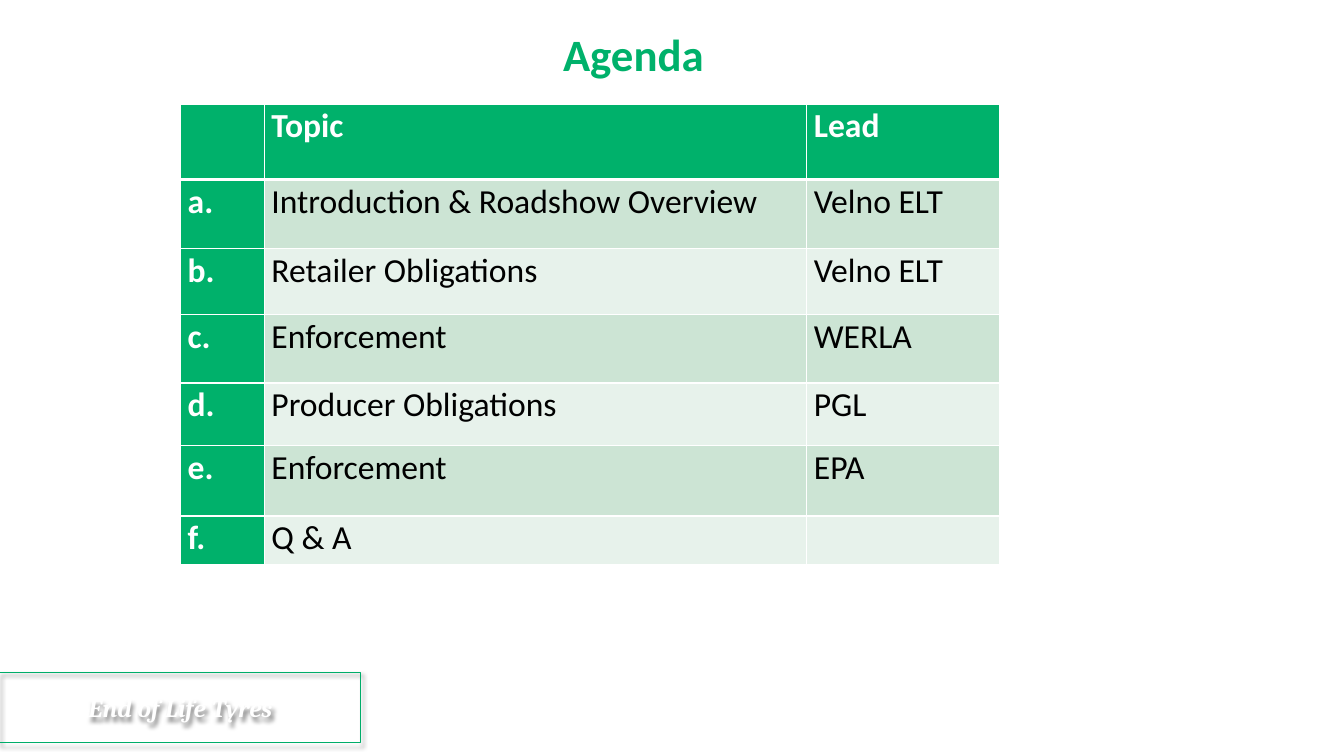
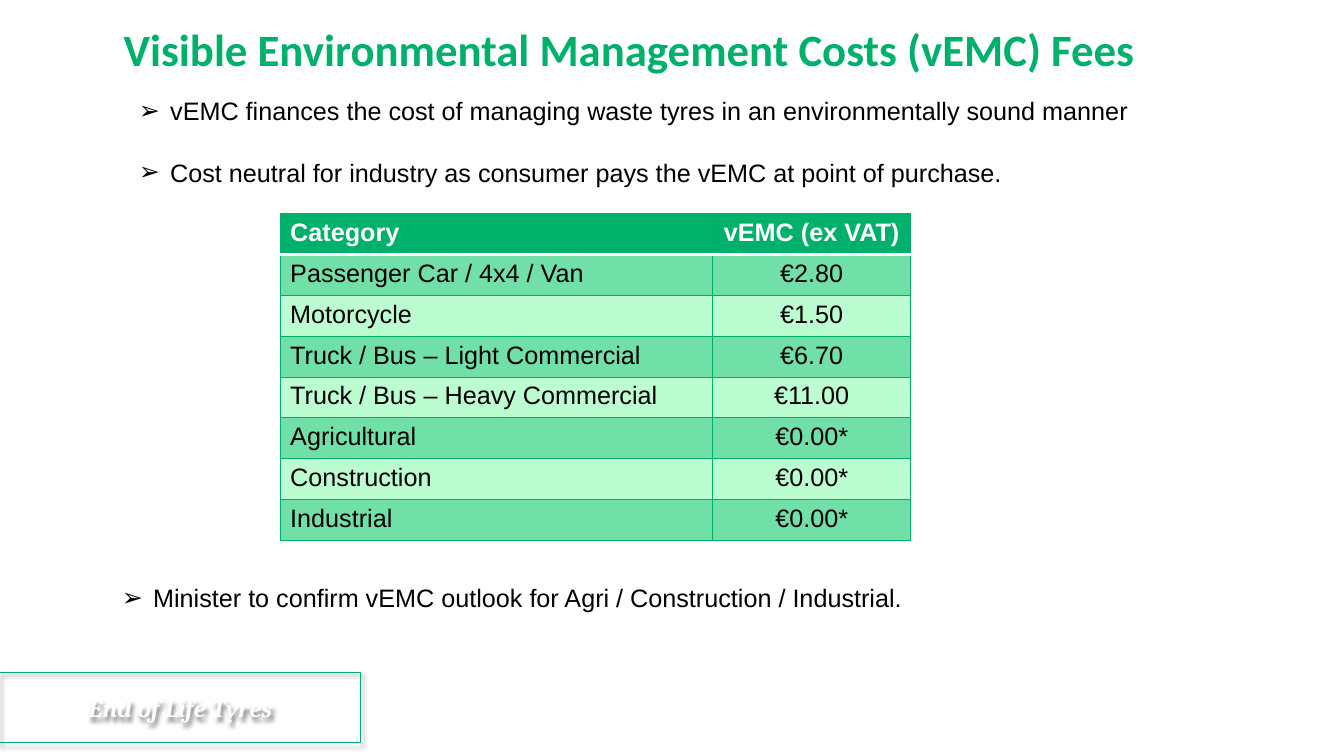
from dataclasses import dataclass
from typing import Any

from lxml.etree import SubElement
from pptx import Presentation
from pptx.dml.color import RGBColor
from pptx.enum.shapes import MSO_SHAPE
from pptx.enum.text import MSO_ANCHOR, PP_ALIGN
from pptx.oxml.ns import qn
from pptx.util import Cm, Pt

COLORS = {
    "green": "00B16B",
    "outline": "00AD69",
    "white": "FFFFFF",
    "black": "000000",
    "sage": "CCE4D4",
    "pale_sage": "E7F2EB",
    "mint": "70DFA8",
    "pale_mint": "BBFDD1",
}

# Font formats by role; "color" is a key of COLORS
FORMATS: dict[str, dict[str, Any]] = {
    "title": {"name": "Calibri", "size": Pt(32), "bold": True, "color": "green"},
    "footer": {"name": "Cambria", "size": Pt(18), "bold": True, "italic": True, "color": "white"},
    "bullet": {"name": "Arial", "size": Pt(18), "color": "black"},
    "agenda_head": {"name": "Calibri", "size": Pt(24), "bold": True, "color": "white"},
    "agenda_body": {"name": "Calibri", "size": Pt(24), "bold": False, "color": "black"},
    "fees_head": {"name": "Arial", "size": Pt(18), "bold": True, "color": "white"},
    "fees_body": {"name": "Arial", "size": Pt(18), "bold": False, "color": "black"},
}


@dataclass(frozen=True)
class Box:
    """Left, top, width and height in centimetres."""
    left: float
    top: float
    width: float
    height: float

    def emu(self) -> tuple:
        return Cm(self.left), Cm(self.top), Cm(self.width), Cm(self.height)


@dataclass(frozen=True)
class TableLook:
    formats: str  # prefix of the head and body formats
    bands: tuple[str, str]
    border: tuple[str, float]
    header_rule: float
    aligns: tuple
    margins: dict[str, Any]
    line_spacing: float = 1.0
    header_column: bool = False


AGENDA_LOOK = TableLook(
    "agenda", ("sage", "pale_sage"), ("white", 1), 3, (PP_ALIGN.LEFT,) * 3,
    {"margin_left": Cm(0.18), "margin_right": Cm(0.18), "margin_top": 0, "margin_bottom": 0},
    line_spacing=1.05, header_column=True)
FEES_LOOK = TableLook(
    "fees", ("mint", "pale_mint"), ("outline", 0.75), 2, (PP_ALIGN.LEFT, PP_ALIGN.CENTER), {})

AGENDA = [
    ("", "Topic", "Lead"),
    ("a.", "Introduction & Roadshow Overview", "Velno ELT"),
    ("b.", "Retailer Obligations", "Velno ELT"),
    ("c.", "Enforcement", "WERLA"),
    ("d.", "Producer Obligations", "PGL"),
    ("e.", "Enforcement", "EPA"),
    ("f.", "Q & A", ""),
]
FEES = [
    ("Category", "vEMC (ex VAT)"),
    ("Passenger Car / 4x4 / Van", "€2.80"),
    ("Motorcycle", "€1.50"),
    ("Truck / Bus – Light Commercial", "€6.70"),
    ("Truck / Bus – Heavy Commercial", "€11.00"),
    ("Agricultural", "€0.00*"),
    ("Construction", "€0.00*"),
    ("Industrial", "€0.00*"),
]


def rgb(color: str) -> RGBColor:
    return RGBColor.from_string(COLORS[color])


def write(paragraph, text: str, role: str, align=PP_ALIGN.LEFT, line_spacing: float = 1.0) -> None:
    paragraph.alignment = align
    paragraph.line_spacing = line_spacing
    run = paragraph.add_run()
    run.text = text
    for key, value in FORMATS[role].items():
        if key == "color":
            run.font.color.rgb = rgb(value)
        else:
            setattr(run.font, key, value)


def add_title(slide, text: str, box: Box) -> None:
    frame = slide.shapes.add_textbox(*box.emu()).text_frame
    frame.word_wrap = True
    frame.margin_left = frame.margin_right = 0
    write(frame.paragraphs[0], text, "title", PP_ALIGN.CENTER, 0.8)


def add_footer(slide) -> None:
    footer = slide.shapes.add_shape(MSO_SHAPE.RECTANGLE, *Box(0, 16.94, 9.09, 1.78).emu())
    footer.fill.background()
    footer.line.color.rgb = rgb("outline")
    footer.line.width = Pt(0.75)
    # Soft shadow under the outline and the lettering
    footer.shadow.inherit = False
    effects = footer.element.spPr.find(qn("a:effectLst"))
    shadow = SubElement(effects, qn("a:outerShdw"), blurRad="40000", dist="35000",
                        dir="3600000", rotWithShape="0")
    black = SubElement(shadow, qn("a:srgbClr"), val=COLORS["black"])
    SubElement(black, qn("a:alpha"), val="50000")
    footer.text_frame.vertical_anchor = MSO_ANCHOR.MIDDLE
    write(footer.text_frame.paragraphs[0], "End of Life Tyres", "footer", PP_ALIGN.CENTER)


def add_bullets(slide, lines: list[str], box: Box, line_spacing: float = 1.0) -> None:
    frame = slide.shapes.add_textbox(*box.emu()).text_frame
    frame.word_wrap = True
    for index, line in enumerate(lines):
        paragraph = frame.add_paragraph() if index else frame.paragraphs[0]
        write(paragraph, line, "bullet", line_spacing=line_spacing)
        if index:
            paragraph.space_before = Pt(22)
        properties = paragraph._p.get_or_add_pPr()
        properties.set("marL", str(Cm(0.79)))
        properties.set("indent", str(-Cm(0.79)))
        SubElement(properties, qn("a:buFont"), typeface="Arial")
        SubElement(properties, qn("a:buChar"), char="➢")


def set_borders(cell, row: int, look: TableLook) -> None:
    properties = cell._tc.get_or_add_tcPr()
    rule_side = {0: "lnB", 1: "lnT"}.get(row)
    for side in ("lnL", "lnR", "lnT", "lnB"):
        color, width = ("white", look.header_rule) if side == rule_side else look.border
        line = SubElement(properties, qn(f"a:{side}"), w=str(Pt(width)))
        solid = SubElement(line, qn("a:solidFill"))
        SubElement(solid, qn("a:srgbClr"), val=COLORS[color])


def add_grid(slide, rows: list[tuple], left: float, top: float, widths: list[float],
             heights: list[float], look: TableLook) -> None:
    box = Box(left, top, sum(widths), sum(heights))
    grid = slide.shapes.add_table(len(rows), len(widths), *box.emu()).table
    grid.first_row = grid.horz_banding = False
    for column, width in zip(grid.columns, widths):
        column.width = Cm(width)
    for row, height in zip(grid.rows, heights):
        row.height = Cm(height)
    for r, texts in enumerate(rows):
        for c, text in enumerate(texts):
            cell = grid.cell(r, c)
            is_head = r == 0 or (look.header_column and c == 0)
            set_borders(cell, r, look)
            cell.fill.solid()
            cell.fill.fore_color.rgb = rgb("green" if is_head else look.bands[(r - 1) % 2])
            for margin, value in look.margins.items():
                setattr(cell, margin, value)
            if text:
                role = f"{look.formats}_{'head' if is_head else 'body'}"
                write(cell.text_frame.paragraphs[0], text, role, look.aligns[c], look.line_spacing)


def main() -> None:
    deck = Presentation()
    deck.slide_width, deck.slide_height = Cm(33.87), Cm(19.05)
    blank = deck.slide_layouts[6]

    # Agenda
    agenda = deck.slides.add_slide(blank)
    add_title(agenda, "Agenda", Box(4.04, 0.81, 23.85, 2.59))
    add_footer(agenda)
    add_grid(agenda, AGENDA, 4.55, 2.62, [2.11, 13.67, 4.85],
             [1.9, 1.75, 1.65, 1.73, 1.57, 1.78, 1.22], AGENDA_LOOK)

    # Fees
    fees = deck.slides.add_slide(blank)
    add_title(fees, "Visible Environmental Management Costs (vEMC) Fees",
              Box(2.82, 0.69, 26.09, 1.42))
    add_footer(fees)
    add_grid(fees, FEES, 7.06, 5.38, [10.9, 4.99], [1.03] * len(FEES), FEES_LOOK)
    add_bullets(fees, ["Minister to confirm vEMC outlook for Agri / Construction / Industrial."],
                Box(2.82, 14.17, 25.55, 1.27), line_spacing=1.5)
    add_bullets(fees, [
        "vEMC finances the cost of managing waste tyres in an environmentally sound manner",
        "Cost neutral for industry as consumer pays the vEMC at point of purchase.",
    ], Box(3.25, 2.29, 26.92, 2.57))

    deck.save("out.pptx")


if __name__ == "__main__":
    main()
